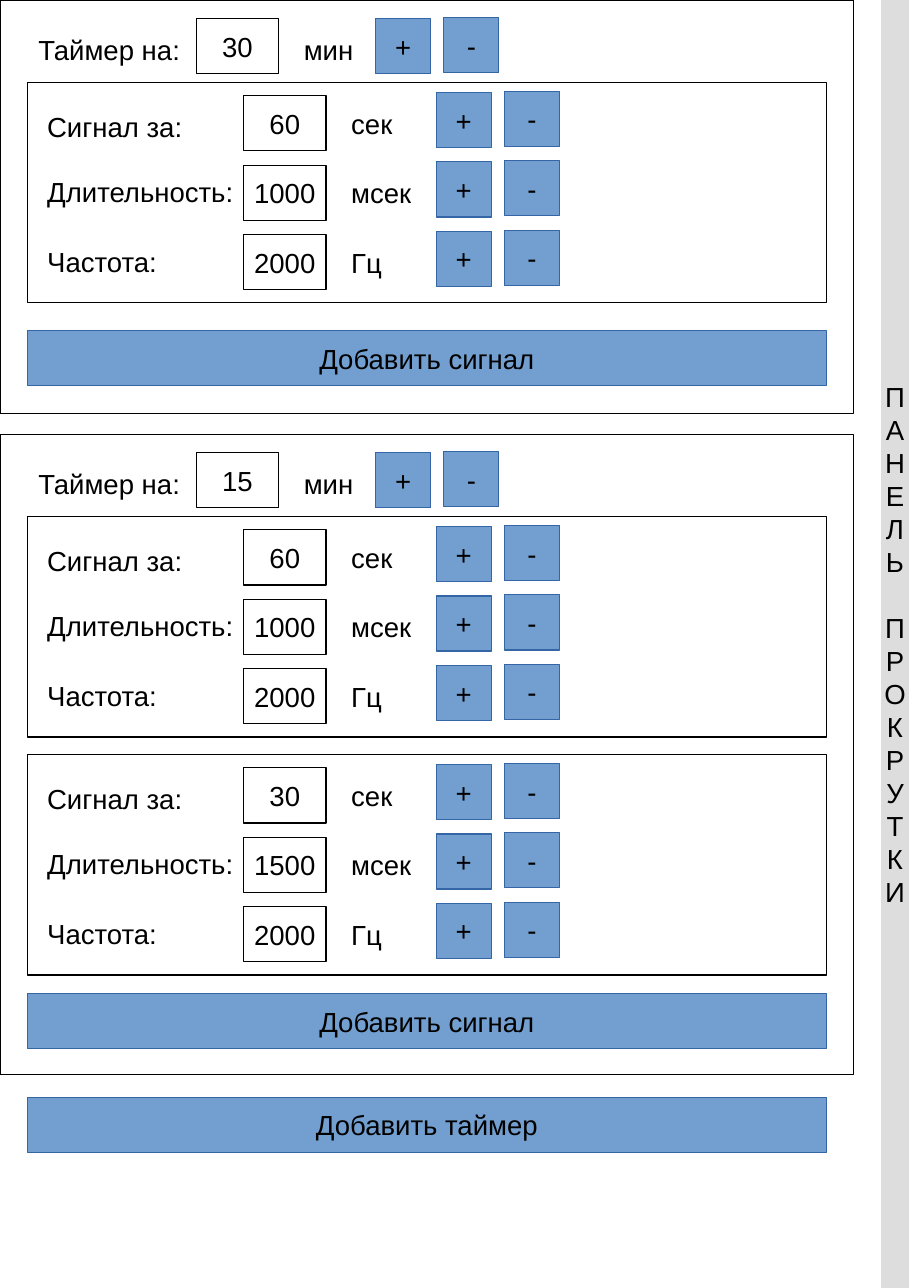
from pptx import Presentation
from pptx.dml.color import RGBColor
from pptx.enum.shapes import MSO_SHAPE as Shape
from pptx.enum.text import MSO_ANCHOR as Anchor, MSO_AUTO_SIZE as AutoSize, PP_ALIGN as Align
from pptx.util import Pt

PX = 9144  # 100 px to the inch
PAGE_WIDTH, PAGE_HEIGHT = 827, 1169
BLACK = RGBColor(0x00, 0x00, 0x00)
WHITE = RGBColor(0xFF, 0xFF, 0xFF)
BLUE = RGBColor(0x72, 0x9F, 0xCF)
DARK_BLUE = RGBColor(0x34, 0x65, 0xA4)
GREY = RGBColor(0xDD, 0xDD, 0xDD)

FONT = {"name": "Arial", "size": Pt(18)}
FRAME = {"fill": WHITE, "line": BLACK}
BUTTON = {"fill": BLUE, "line": DARK_BLUE}
SCROLLBAR = {"fill": GREY, "line": GREY, "width": Pt(0.5)}

BUTTON_SIZE = 50
FIELD_WIDTH = 75
PANEL_LEFT, PANEL_WIDTH, PANEL_HEIGHT = 25, 725, 200
SIGNAL_TOP, SIGNAL_PITCH, ROW_PITCH = 75, 216, 63

# label, its top, width and height in the panel, and the unit
SIGNAL_ROWS = [
    ("Сигнал за:", 20, 167, 38, "сек"),
    ("Длительность:", 79, 192, 46, "мсек"),
    ("Частота:", 142, 142, 46, "Гц"),
]
# top, height, minutes, signals, top of the add button in the frame
TIMERS = [
    (0, 375, 30, [(60, 1000, 2000)], 300),
    (394, 581, 15, [(60, 1000, 2000), (30, 1500, 2000)], 508),
]


def scaled(*lengths):
    return [length * PX for length in lengths]


def write(para, text, align):
    para.alignment = align
    span = para.add_run()
    span.text = text
    for name, value in FONT.items():
        setattr(span.font, name, value)
    span.font.color.rgb = BLACK


def add_box(page, left, top, width, height, look, text=""):
    """Add a rectangle; each line of the text is a centred paragraph."""
    box = page.shapes.add_shape(Shape.RECTANGLE, *scaled(left, top, width, height))
    box.shadow.inherit = False
    box.fill.solid()
    box.fill.fore_color.rgb = look["fill"]
    box.line.color.rgb = look["line"]
    box.line.width = look.get("width", 0)
    frame = box.text_frame
    frame.word_wrap = False
    frame.vertical_anchor = Anchor.MIDDLE
    for index, line in enumerate(text.splitlines()):
        para = frame.add_paragraph() if index else frame.paragraphs[0]
        write(para, line, Align.CENTER)
    return box


def add_label(page, left, top, width, height, text):
    frame = page.shapes.add_textbox(*scaled(left, top, width, height)).text_frame
    frame.word_wrap = True
    frame.auto_size = AutoSize.SHAPE_TO_FIT_TEXT
    write(frame.paragraphs[0], text, Align.LEFT)


def add_stepper(page, left, top, value, unit, unit_drop, plus_left, plus_rise):
    """Add a value field, its unit and the plus and minus buttons."""
    add_box(page, left, top, FIELD_WIDTH, BUTTON_SIZE, FRAME, str(value))
    add_label(page, left + 88, top + unit_drop, 100, 38, unit)
    for index, sign in enumerate("+-"):
        add_box(page, left + plus_left + 62 * index, top - plus_rise - index,
                BUTTON_SIZE, BUTTON_SIZE, BUTTON, sign)


def add_wide_button(page, top, text):
    add_box(page, PANEL_LEFT, top, PANEL_WIDTH, BUTTON_SIZE, BUTTON, text)


def add_signal(page, left, top, values):
    add_box(page, left, top, PANEL_WIDTH, PANEL_HEIGHT, FRAME)
    for index, (row, value) in enumerate(zip(SIGNAL_ROWS, values)):
        label, label_top, width, height, unit = row
        add_label(page, left + 8, top + label_top, width, height, label)
        add_stepper(page, left + 196, top + 12 + ROW_PITCH * index, value, unit,
                    unit_drop=5, plus_left=175, plus_rise=3)


def add_timer(page, top, height, minutes, signals, button_top):
    add_box(page, 0, top, 775, height, FRAME)
    add_label(page, PANEL_LEFT, top + 25, 150, 38, "Таймер на:")
    add_stepper(page, 178, top + 17, minutes, "мин",
                unit_drop=8, plus_left=163, plus_rise=0)
    for index, values in enumerate(signals):
        add_signal(page, PANEL_LEFT, top + SIGNAL_TOP + SIGNAL_PITCH * index, values)
    add_wide_button(page, top + button_top, "Добавить сигнал")


def add_scrollbar(page, left, width):
    words = ["ПАНЕЛЬ", "ПРОКРУТКИ"]
    bar = add_box(page, left, 0, width, PAGE_HEIGHT, SCROLLBAR, "\n".join("".join(words)))
    second_word = bar.text_frame.paragraphs[len(words[0])]
    second_word.space_before = Pt(21.6)


def main():
    deck = Presentation()
    deck.slide_width, deck.slide_height = scaled(PAGE_WIDTH, PAGE_HEIGHT)
    page = deck.slides.add_slide(deck.slide_layouts[6])
    add_scrollbar(page, 800, 25)
    for timer in TIMERS:
        add_timer(page, *timer)
    add_wide_button(page, 996, "Добавить таймер")
    deck.save("out.pptx")


if __name__ == "__main__":
    main()
